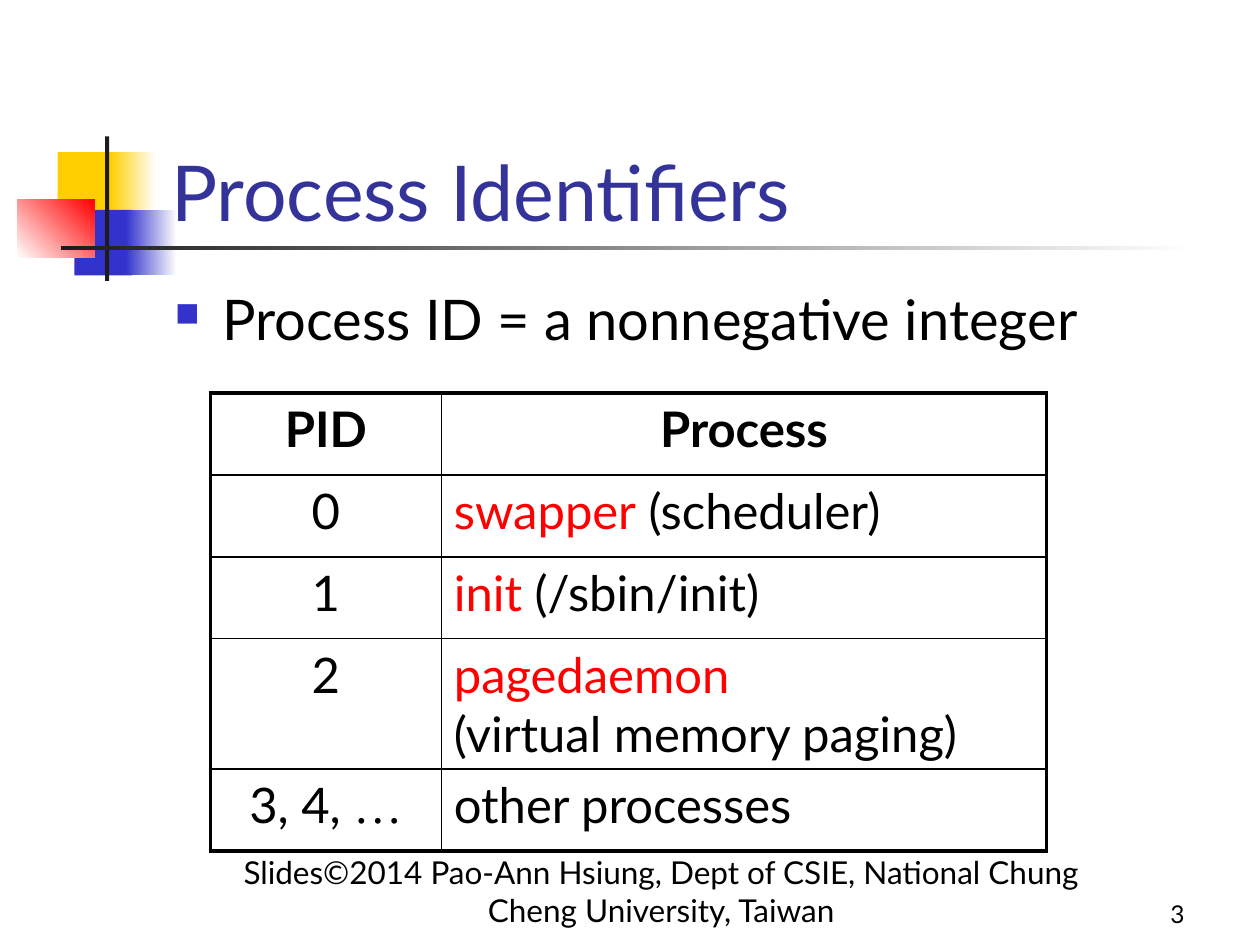
from lxml import etree
from pptx import Presentation
from pptx import oxml
from pptx.dml.color import RGBColor
from pptx.enum import shapes, text
from pptx.oxml import ns
from pptx.util import Pt

BLACK = RGBColor(0, 0, 0)
WHITE = RGBColor(255, 255, 255)
RED = RGBColor(255, 0, 0)
YELLOW = RGBColor(0xFF, 0xCF, 0x01)
BLUE = RGBColor(0x33, 0x33, 0xCC)
NAVY = RGBColor(0x33, 0x33, 0x99)
CHARCOAL = RGBColor(0x1C, 0x1C, 0x1C)

FACE = "Lato"
THICK, THIN = 2.25, 1
LEFT, CENTER, RIGHT = text.PP_ALIGN.LEFT, text.PP_ALIGN.CENTER, text.PP_ALIGN.RIGHT
TOP, BOTTOM = text.MSO_ANCHOR.TOP, text.MSO_ANCHOR.BOTTOM

PROCESSES = [
    ([("PID", BLACK, FACE)], [("Process", BLACK, FACE)]),
    ([("0", BLACK, FACE)], [("swapper", RED, FACE), (" (scheduler)", BLACK, FACE)]),
    ([("1", BLACK, FACE)], [("init", RED, FACE), (" (/sbin/init)", BLACK, FACE)]),
    ([("2", BLACK, FACE)],
     [("pagedaemon ", RED, FACE), None, ("(virtual memory paging)", BLACK, FACE)]),
    ([("3, 4, ", BLACK, FACE), ("…", BLACK, "Times New Roman")],
     [("other processes", BLACK, FACE)]),
]


def apply(target, formats):
    for name, value in formats.items():
        setattr(target, name, value)


def add_words(paragraph, words, size, color=BLACK, face=FACE, bold=False):
    run = paragraph.add_run()
    run.text = words
    apply(run.font, {"name": face, "size": Pt(size), "bold": bold})
    run.font.color.rgb = color


def fill_frame(holder, words, size, color=BLACK, align=LEFT, anchor=BOTTOM):
    frame = holder.text_frame
    apply(frame, {"word_wrap": True, "auto_size": text.MSO_AUTO_SIZE.NONE,
                  "vertical_anchor": anchor})
    paragraph = frame.paragraphs[0]
    paragraph.alignment = align
    add_words(paragraph, words, size, color)
    return paragraph


def add_text(slide, box, words, size, **formats):
    holder = slide.shapes.add_textbox(*map(Pt, box))
    return fill_frame(holder, words, size, **formats)


def add_block(slide, box, start, end=None, angle=0):
    block = slide.shapes.add_shape(shapes.MSO_SHAPE.RECTANGLE, *map(Pt, box))
    block.shadow.inherit = False
    block.line.fill.background()
    if end is None:
        block.fill.solid()
        block.fill.fore_color.rgb = start
        return
    block.fill.gradient()
    block.fill.gradient_angle = angle
    for stop, color in zip(block.fill.gradient_stops, (start, end)):
        stop.color.rgb = color


def add_ornament(slide, box):
    left, top, width, height = box
    for x, y, solid_width, fade_x, fade_width, color in (
            (23, 9, 35, 53, 26, YELLOW), (32.5, 42, 33, 62, 29, BLUE)):
        add_block(slide, (left + x, top + y, solid_width, 37.4), color)
        add_block(slide, (left + fade_x, top + y, fade_width, 37.4), color, WHITE)
    add_block(slide, (left, top + 36, 44, 33.4), WHITE, RED, angle=45)
    add_block(slide, (left + 50, top, 2.4, height), CHARCOAL)
    add_block(slide, (left + 25, top + 62.3, width - 25, 2.4), CHARCOAL, WHITE)


def add_title(slide, box):
    title = slide.shapes.title
    apply(title, dict(zip(("left", "top", "width", "height"), map(Pt, box))))
    fill_frame(title, "Process Identifiers", 44, NAVY)


def add_statement(slide, box):
    paragraph = add_text(slide, box, "Process ID = a nonnegative integer", 32, anchor=TOP)
    paragraph.space_before = Pt(6.4)
    props = paragraph._p.get_or_add_pPr()
    props.set("marL", str(Pt(27)))
    props.set("indent", str(Pt(-27)))
    color = etree.SubElement(props, ns.qn("a:buClr"))
    etree.SubElement(color, ns.qn("a:srgbClr"), val=str(BLUE))
    etree.SubElement(props, ns.qn("a:buSzPct"), val="60000")
    etree.SubElement(props, ns.qn("a:buChar"), char="■")


def set_borders(cell, widths):
    props = cell._tc.get_or_add_tcPr()
    for place, (side, width) in enumerate(widths.items()):
        props.insert(place, oxml.parse_xml(
            f'<a:ln{side} {ns.nsdecls("a")} w="{Pt(width)}"><a:solidFill>'
            f'<a:srgbClr val="{BLACK}"/></a:solidFill></a:ln{side}>'))


def add_process_table(slide, box):
    last_row, last_column = len(PROCESSES) - 1, 1
    table = slide.shapes.add_table(last_row + 1, last_column + 1, *map(Pt, box)).table
    apply(table, {"first_row": False, "horz_banding": False})
    width, height = box[2:]
    for column, share in zip(table.columns, (132, width - 132)):
        column.width = Pt(share)
    row_height = 46.8
    for r, entries in enumerate(PROCESSES):
        wrapped = None in entries[1]
        table.rows[r].height = Pt(height - last_row * row_height if wrapped else row_height)
        for c, pieces in enumerate(entries):
            cell = table.cell(r, c)
            cell.fill.background()
            set_borders(cell, {"L": THIN if c else THICK,
                               "R": THICK if c == last_column else THIN,
                               "T": THIN if r else THICK,
                               "B": THICK if r == last_row else THIN})
            paragraph = cell.text_frame.paragraphs[0]
            apply(paragraph, {"alignment": LEFT if r and c else CENTER,
                              "space_before": Pt(5.6)})
            for piece in pieces:
                if piece is None:
                    paragraph.add_line_break()
                else:
                    words, color, face = piece
                    add_words(paragraph, words, 28, color, face, bold=r == 0)


def add_footer(slide, box):
    left, top, width, height = box
    add_text(slide, (left, top, 501, height),
             "Slides©2014 Pao-Ann Hsiung, Dept of CSIE, National Chung Cheng University, Taiwan",
             18, align=CENTER)
    add_text(slide, (left + width - 150, top, 150, height), "3", 14, align=RIGHT)


def main():
    deck = Presentation()
    apply(deck, {"slide_width": Pt(720), "slide_height": Pt(540)})
    slide = deck.slides.add_slide(deck.slide_layouts[5])
    add_ornament(slide, (10, 78, 672.5, 82.6))
    add_title(slide, (90.7, 49, 613.4, 90))
    add_statement(slide, (92.9, 159, 612, 324))
    add_process_table(slide, (120.2, 224.6, 478, 261.6))
    add_footer(slide, (127.4, 498.2, 556.6, 36))
    deck.save("out.pptx")


if __name__ == "__main__":
    main()
